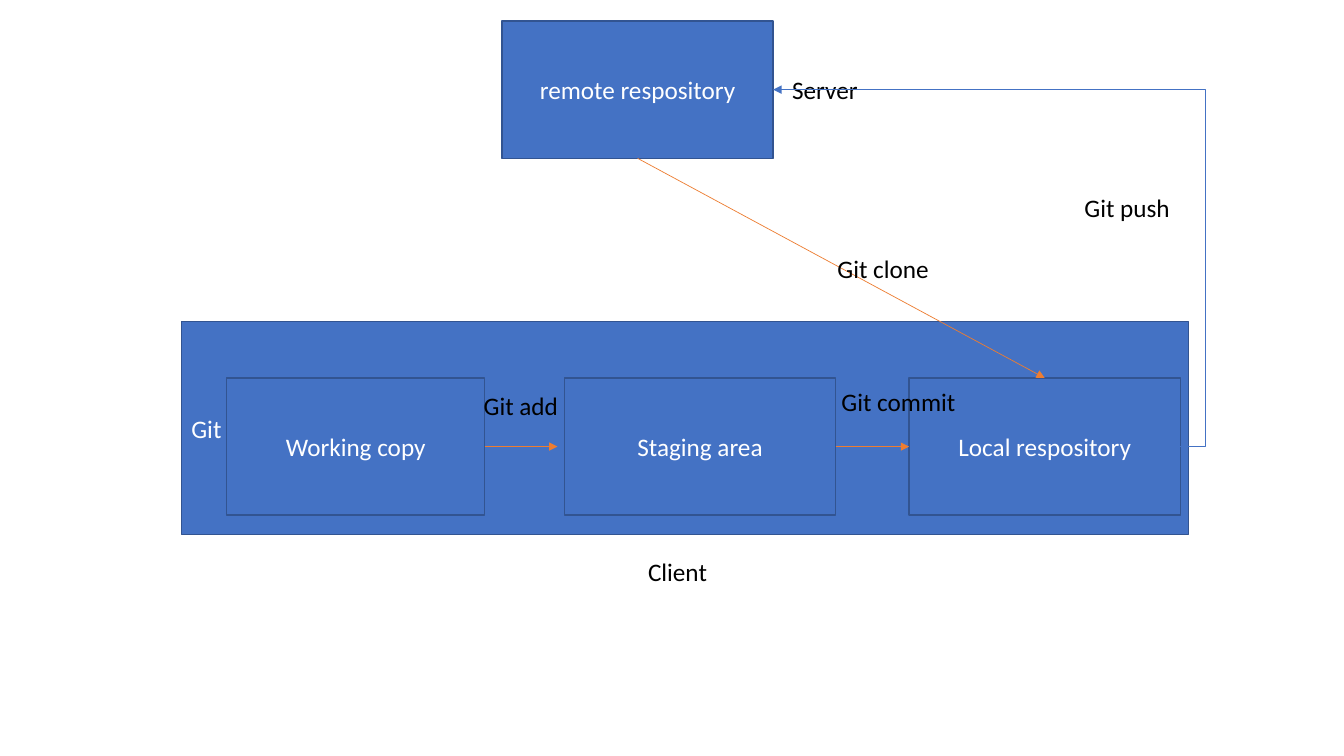
from lxml import etree
from pptx import Presentation
from pptx.dml.color import RGBColor
from pptx.enum.shapes import MSO_CONNECTOR, MSO_SHAPE
from pptx.enum.text import MSO_ANCHOR, MSO_AUTO_SIZE, PP_ALIGN
from pptx.oxml.ns import qn
from pptx.util import Pt

RECTANGLE = MSO_SHAPE.RECTANGLE
STRAIGHT, ELBOW = MSO_CONNECTOR.STRAIGHT, MSO_CONNECTOR.ELBOW
LEFT, CENTER = PP_ALIGN.LEFT, PP_ALIGN.CENTER
MIDDLE = MSO_ANCHOR.MIDDLE
FIT_TEXT = MSO_AUTO_SIZE.SHAPE_TO_FIT_TEXT
TOP_SIDE, BOTTOM_SIDE, RIGHT_SIDE, LEFT_SIDE = 0, 2, 3, 1

COLORS = {"blue": "4472C4", "edge": "325491", "orange": "ED7D31",
          "white": "FFFFFF", "black": "000000"}
FONT, TEXT_SIZE = "Calibri", 18
STAGE_TOP, STAGE_HEIGHT, STAGE_WIDTH = 270, 98, 193.7
LABEL_HEIGHT = 29

BOXES = [
    ("Git", 129.6, 229.7, 719.3, 152, LEFT),
    ("Working copy", 162, STAGE_TOP, 184.3, STAGE_HEIGHT, CENTER),
    ("Staging area", 403.2, STAGE_TOP, STAGE_WIDTH, STAGE_HEIGHT, CENTER),
    ("Local respository", 649.4, STAGE_TOP, STAGE_WIDTH, STAGE_HEIGHT, CENTER),
    ("remote respository", 358.6, 15.1, STAGE_WIDTH, STAGE_HEIGHT, CENTER),
]
CAPTIONS = [("Client", 455.8, 393.8, 56.9), ("Server", 558.7, 49.7, 64.8)]
ADD_ARROW_END = (398.2, STAGE_TOP + STAGE_HEIGHT / 2)
COMMANDS = [
    (("Git clone", 591.1, 177.1, 80.6), STRAIGHT, "orange",
     ("remote respository", BOTTOM_SIDE), ("Local respository", TOP_SIDE)),
    (("Git add", 338.4, 275.4, 68.4), STRAIGHT, "orange",
     ("Working copy", RIGHT_SIDE), None),
    (("Git commit", 594, 272.5, 96.5), STRAIGHT, "orange",
     ("Staging area", RIGHT_SIDE), ("Local respository", LEFT_SIDE)),
    (("Git push", 767.5, 133.9, 76.3), ELBOW, "blue",
     ("Local respository", RIGHT_SIDE), ("remote respository", RIGHT_SIDE)),
]
PUSH_BEND = -6200


def rgb(name):
    return RGBColor.from_string(COLORS[name])


def write(frame, text, color, align):
    frame.text = text
    para = frame.paragraphs[0]
    para.alignment = align
    font = para.runs[0].font
    font.name, font.size, font.color.rgb = FONT, Pt(TEXT_SIZE), rgb(color)


def add_box(slide, text, left, top, width, height, align):
    box = slide.shapes.add_shape(RECTANGLE, Pt(left), Pt(top), Pt(width), Pt(height))
    box.shadow.inherit = False
    box.fill.solid()
    box.fill.fore_color.rgb = rgb("blue")
    box.line.color.rgb = rgb("edge")
    box.line.width = Pt(1)
    box.text_frame.vertical_anchor = MIDDLE
    write(box.text_frame, text, "white", align)
    return box


def add_label(slide, text, left, top, width):
    label = slide.shapes.add_textbox(Pt(left), Pt(top), Pt(width), Pt(LABEL_HEIGHT))
    label.text_frame.word_wrap = False
    label.text_frame.auto_size = FIT_TEXT
    write(label.text_frame, text, "black", LEFT)


def add_arrow(slide, boxes, kind, color, start, end):
    end_x, end_y = ADD_ARROW_END
    arrow = slide.shapes.add_connector(kind, 0, 0, Pt(end_x), Pt(end_y))
    arrow.begin_connect(boxes[start[0]], start[1])
    if end:
        arrow.end_connect(boxes[end[0]], end[1])
    arrow.line.color.rgb = rgb(color)
    arrow.line.width = Pt(0.5)
    properties = arrow.element.spPr
    line = properties.find(qn("a:ln"))
    etree.SubElement(line, qn("a:tailEnd"), type="triangle")
    etree.SubElement(properties, qn("a:effectLst"))
    if kind == ELBOW:
        adjustments = properties.find(qn("a:prstGeom")).find(qn("a:avLst"))
        etree.SubElement(adjustments, qn("a:gd"), name="adj1", fmla=f"val {PUSH_BEND}")


def main():
    deck = Presentation()
    deck.slide_width, deck.slide_height = Pt(960), Pt(540)
    slide = deck.slides.add_slide(deck.slide_layouts[6])
    boxes = {box[0]: add_box(slide, *box) for box in BOXES}
    for caption in CAPTIONS:
        add_label(slide, *caption)
    for label, kind, color, start, end in COMMANDS:
        add_arrow(slide, boxes, kind, color, start, end)
        add_label(slide, *label)
    deck.save("out.pptx")


if __name__ == "__main__":
    main()
